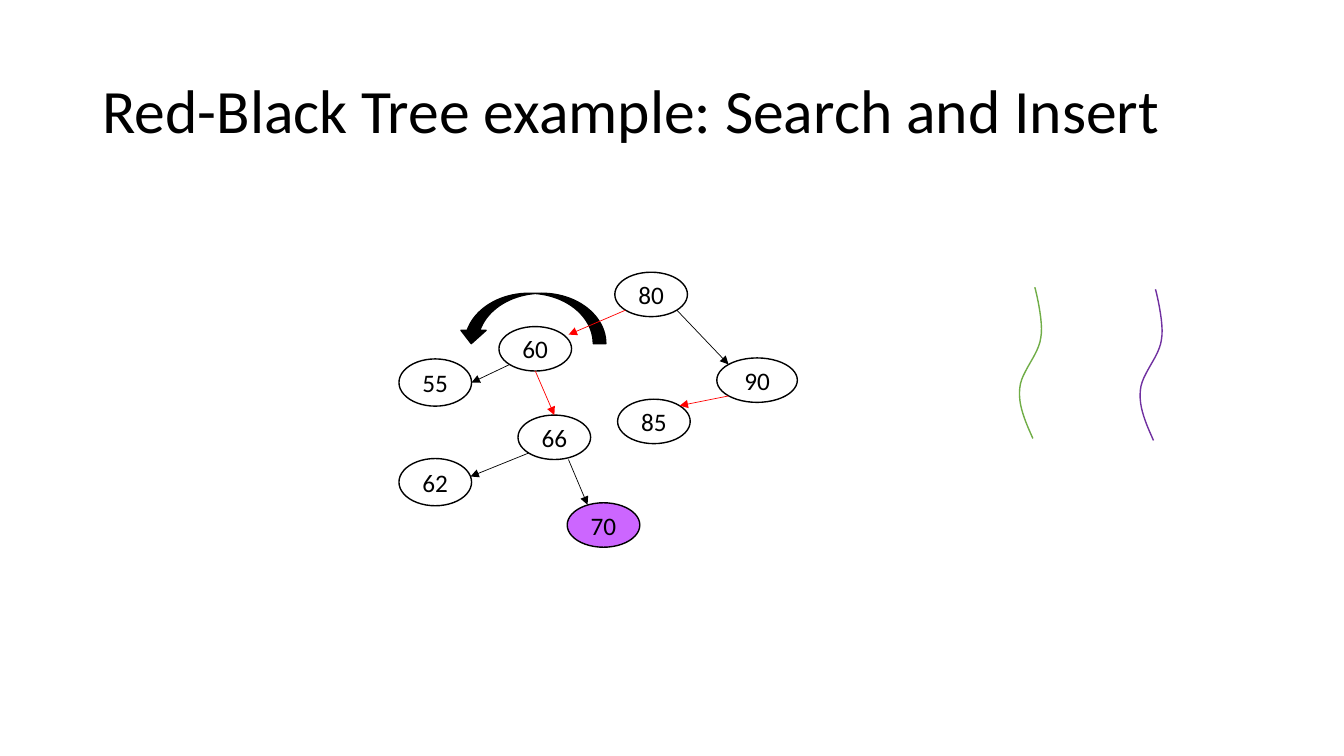
from pptx import Presentation
from pptx.dml.color import RGBColor
from pptx.enum.shapes import MSO_CONNECTOR, MSO_SHAPE
from pptx.enum.text import MSO_ANCHOR, PP_ALIGN
from pptx.oxml.ns import qn
from pptx.util import Cm, Pt
from lxml.etree import SubElement

COLORS = {"black": "000000", "red": "FF0000", "new": "CC66FF",
          "green": "70AD47", "purple": "7030A0"}
FONT = "Calibri"
TITLE = "Red-Black Tree example: Search and Insert"

# Key: centre x, centre y, width, height in cm
NODES = {
    80: (16.41, 7.42, 1.83, 1.12),
    60: (13.49, 8.79, 1.83, 1.12),
    90: (19.08, 9.58, 2.03, 1.12),
    55: (10.97, 9.64, 1.83, 1.19),
    66: (13.97, 11.02, 1.83, 1.12),
    85: (16.48, 10.62, 1.83, 1.12),
    62: (10.97, 12.15, 1.83, 1.19),
    70: (15.21, 13.23, 1.83, 1.12),
}
INSERTED = 70

# Places on a node's rim, as fractions of its half width and half height
TOP, RIGHT, BOTTOM = (0, -1), (1, 0), (0, 1)
TOP_LEFT, TOP_RIGHT = (-0.71, -0.71), (0.71, -0.71)
BOTTOM_LEFT, BOTTOM_RIGHT = (-0.71, 0.71), (0.71, 0.71)

# Parent, leaving place, child, arriving place, link colour
LINKS = [
    (80, BOTTOM_LEFT, 60, (0.92, -0.64), "red"),
    (80, BOTTOM_RIGHT, 90, TOP_LEFT, "black"),
    (90, BOTTOM_LEFT, 85, TOP_RIGHT, "red"),
    (60, BOTTOM, 66, TOP, "red"),
    (60, BOTTOM_LEFT, 55, RIGHT, "black"),
    (66, BOTTOM_LEFT, 62, (0.97, -0.24), "black"),
    (66, (0.39, 1), 70, (-0.44, -0.91), "black"),
]

# Wavy strands: left, top, colour; one shared run of cubic curves
STRANDS = [(25.7, 7.24, "green"), (28.74, 7.29, "purple")]
WAVE = [(0.33, 3.81), (0.15, 3.4), (-0.05, 2.97), (0, 2.54), (0.03, 2.13),
        (0.48, 1.7), (0.53, 1.27), (0.61, 0.86), (0.38, 0), (0.38, 0)]
STEPS = 12


def rgb(name):
    return RGBColor.from_string(COLORS[name])


def outline(shape, color, width=1):
    shape.line.color.rgb = rgb(color)
    shape.line.width = Pt(width)


def rim_point(key, place):
    x, y, width, height = NODES[key]
    return Cm(x + place[0] * width / 2), Cm(y + place[1] * height / 2)


def curve_points(controls):
    points = [controls[0]]
    for start in range(0, len(controls) - 1, 3):
        a, b, c, d = controls[start:start + 4]
        for step in range(1, STEPS + 1):
            t = step / STEPS
            u = 1 - t
            points.append(tuple(
                u**3 * a[i] + 3 * u * u * t * b[i] + 3 * u * t * t * c[i] + t**3 * d[i]
                for i in (0, 1)))
    return points


presentation = Presentation()
presentation.slide_width, presentation.slide_height = Cm(33.87), Cm(19.05)
slide = presentation.slides.add_slide(presentation.slide_layouts[5])
shapes = slide.shapes

# Title
title = shapes.title
title.left, title.top, title.width, title.height = Cm(2.33), Cm(1.01), Cm(29.21), Cm(3.68)
title.text_frame.text = TITLE
title.text_frame.vertical_anchor = MSO_ANCHOR.MIDDLE
heading = title.text_frame.paragraphs[0]
heading.alignment = PP_ALIGN.LEFT
heading.line_spacing = 0.9
heading.font.name, heading.font.size = FONT, Pt(44)
heading.font.color.rgb = rgb("black")

# Rotation arrow
rotation = shapes.add_shape(MSO_SHAPE.CURVED_DOWN_ARROW, Cm(11.56), Cm(7.39), Cm(3.71), Cm(1.27))
for index, value in enumerate((0.25, 0.5, 0.264)):
    rotation.adjustments[index] = value
rotation.element.spPr.get_or_add_xfrm().set("flipH", "1")
rotation.shadow.inherit = False
rotation.fill.solid()
rotation.fill.fore_color.rgb = rgb("black")
outline(rotation, "black")

# Tree nodes
for key, (x, y, width, height) in NODES.items():
    node = shapes.add_shape(MSO_SHAPE.OVAL, Cm(x - width / 2), Cm(y - height / 2),
                            Cm(width), Cm(height))
    node.shadow.inherit = False
    if key == INSERTED:
        node.fill.solid()
        node.fill.fore_color.rgb = rgb("new")
    else:
        node.fill.background()
    outline(node, "black")
    frame = node.text_frame
    frame.text = str(key)
    frame.word_wrap = False
    frame.vertical_anchor = MSO_ANCHOR.MIDDLE
    label = frame.paragraphs[0]
    label.alignment = PP_ALIGN.CENTER
    label.font.name, label.font.size = FONT, Pt(18)
    label.font.color.rgb = rgb("black")

# Parent-to-child links
for parent, leaving, child, arriving, color in LINKS:
    link = shapes.add_connector(MSO_CONNECTOR.STRAIGHT, *rim_point(parent, leaving),
                                *rim_point(child, arriving))
    outline(link, color, 0.5)
    SubElement(link.line._get_or_add_ln(), qn("a:tailEnd"), type="triangle")
    SubElement(link.element.spPr, qn("a:effectLst"))

# Wavy strands
for left, top, color in STRANDS:
    start, *rest = [(Cm(left + x), Cm(top + y)) for x, y in curve_points(WAVE)]
    builder = shapes.build_freeform(*start)
    builder.add_line_segments(rest, close=False)
    strand = builder.convert_to_shape()
    strand.shadow.inherit = False
    strand.fill.background()
    outline(strand, color)

presentation.save("out.pptx")
